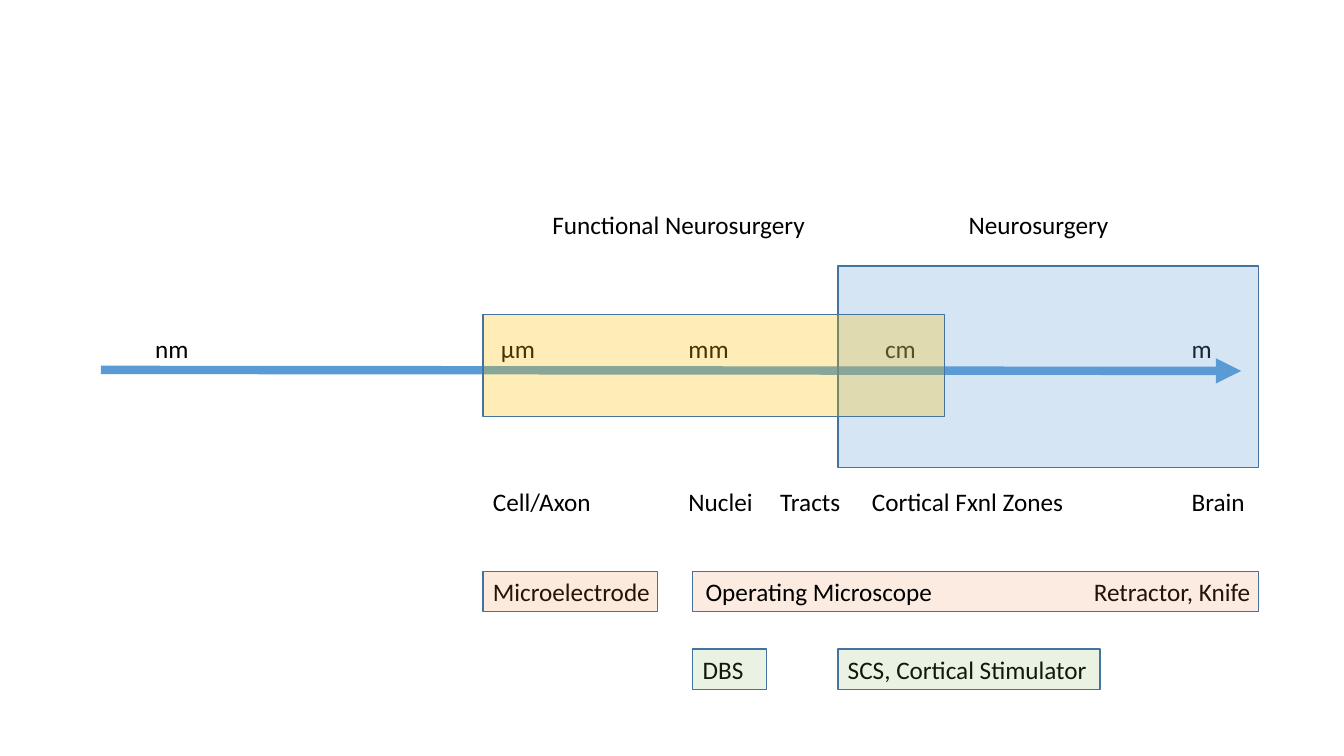
from dataclasses import dataclass

from lxml import etree
from pptx import Presentation
from pptx.dml.color import RGBColor
from pptx.enum.shapes import MSO_CONNECTOR, MSO_SHAPE
from pptx.enum.text import MSO_AUTO_SIZE
from pptx.oxml.ns import qn
from pptx.util import Inches, Pt

RECT = MSO_SHAPE.RECTANGLE
STRAIGHT = MSO_CONNECTOR.STRAIGHT
GROW = MSO_AUTO_SIZE.SHAPE_TO_FIT_TEXT


@dataclass(frozen=True)
class Theme:
    font: str = "Calibri"
    size: int = 18
    ink: str = "000000"
    edge: str = "43739E"
    blue: str = "5B9BD5"
    gold: str = "FFC000"
    peach: str = "ED7D31"
    green: str = "70AD47"
    thin: int = 1
    thick: int = 6


THEME = Theme()
WIDE, HIGH = 13.33, 7.5
LINE = 0.4
COL = {"nano": 1.44, "cell": 4.79, "micro": 4.87, "milli": 6.73,
       "tool": 6.87, "tract": 7.64, "zone": 8.31, "brain": 11.72,
       "end": 12.48}
ROW = {"field": 2.03, "unit": 3.26, "axis": 3.67, "part": 4.78,
       "tool": 5.67, "stim": 6.44}


def color(code):
    return RGBColor.from_string(code)


def label(slide, text, left, top, width, wrap=True):
    box = slide.shapes.add_textbox(
        Inches(left), Inches(top), Inches(width), Inches(LINE))
    frame = box.text_frame
    frame.word_wrap = wrap
    frame.auto_size = GROW
    run = frame.paragraphs[0].add_run()
    run.text = text
    run.font.name = THEME.font
    run.font.size = Pt(THEME.size)
    run.font.color.rgb = color(THEME.ink)


def block(slide, left, top, width, height, fill, alpha):
    box = slide.shapes.add_shape(
        RECT, Inches(left), Inches(top), Inches(width), Inches(height))
    box.shadow.inherit = False
    box.fill.solid()
    box.fill.fore_color.rgb = color(fill)
    box.line.color.rgb = color(THEME.edge)
    box.line.width = Pt(THEME.thin)
    tint = box.fill._xPr.find(qn("a:solidFill"))[0]
    etree.SubElement(tint, qn("a:alpha")).set("val", str(alpha * 1000))


def arrow(slide, left, right, top, drop):
    axis = slide.shapes.add_connector(
        STRAIGHT, Inches(left), Inches(top), Inches(right), Inches(top + drop))
    axis.line.color.rgb = color(THEME.blue)
    axis.line.width = Pt(THEME.thick)
    stroke = axis.line._get_or_add_ln()
    etree.SubElement(stroke, qn("a:tailEnd")).set("type", "triangle")
    etree.SubElement(axis._element.spPr, qn("a:effectLst"))


def scale(slide):
    arrow(slide, 1, 12.31, ROW["axis"], 0.01)
    label(slide, "m", COL["brain"], ROW["unit"], 0.4, wrap=False)
    for text, left, width in (
            ("cm", 8.68, 0.56),
            ("µm", COL["micro"], 0.54),
            ("mm", COL["milli"], 0.86),
            ("nm", COL["nano"], 0.62)):
        label(slide, text, left, ROW["unit"], width)


def fields(slide):
    block(slide, COL["zone"], 2.64, COL["end"] - COL["zone"], 2,
          THEME.blue, 25)
    block(slide, COL["cell"], 3.12, 4.58, 1.01, THEME.gold, 28)
    label(slide, "Neurosurgery", 9.51, ROW["field"], 1.77)
    label(slide, "Functional Neurosurgery", 5.38, ROW["field"], 3.3)


def parts(slide):
    for text, left, width in (
            ("Brain", COL["brain"], WIDE - COL["brain"]),
            ("Tracts", COL["tract"], 2.08),
            ("Cell/Axon", COL["cell"], 2.85),
            ("Nuclei", COL["milli"], 2.28),
            ("Cortical Fxnl Zones", 8.55, 2.59)):
        label(slide, text, left, ROW["part"], width)


def tools(slide):
    top = ROW["tool"]
    label(slide, "Retractor, Knife", 10.75, top, 1.95)
    block(slide, COL["tool"], top, COL["end"] - COL["tool"], LINE,
          THEME.peach, 15)
    label(slide, "Operating Microscope", 6.9, top, 3.57)
    label(slide, "Microelectrode", COL["cell"], top, 2.76)
    block(slide, COL["cell"], top, 1.73, LINE, THEME.peach, 16)


def stims(slide):
    for text, left, width, span in (
            ("DBS", COL["tool"], 1.96, 0.73),
            ("SCS, Cortical Stimulator", COL["zone"], 2.6, 2.6)):
        label(slide, text, left, ROW["stim"], width)
        block(slide, left, ROW["stim"], span, LINE, THEME.green, 15)


def main():
    deck = Presentation()
    deck.slide_width = Inches(WIDE)
    deck.slide_height = Inches(HIGH)
    slide = deck.slides.add_slide(deck.slide_layouts[6])
    for draw in (scale, fields, parts, tools, stims):
        draw(slide)
    deck.save("out.pptx")


if __name__ == "__main__":
    main()
